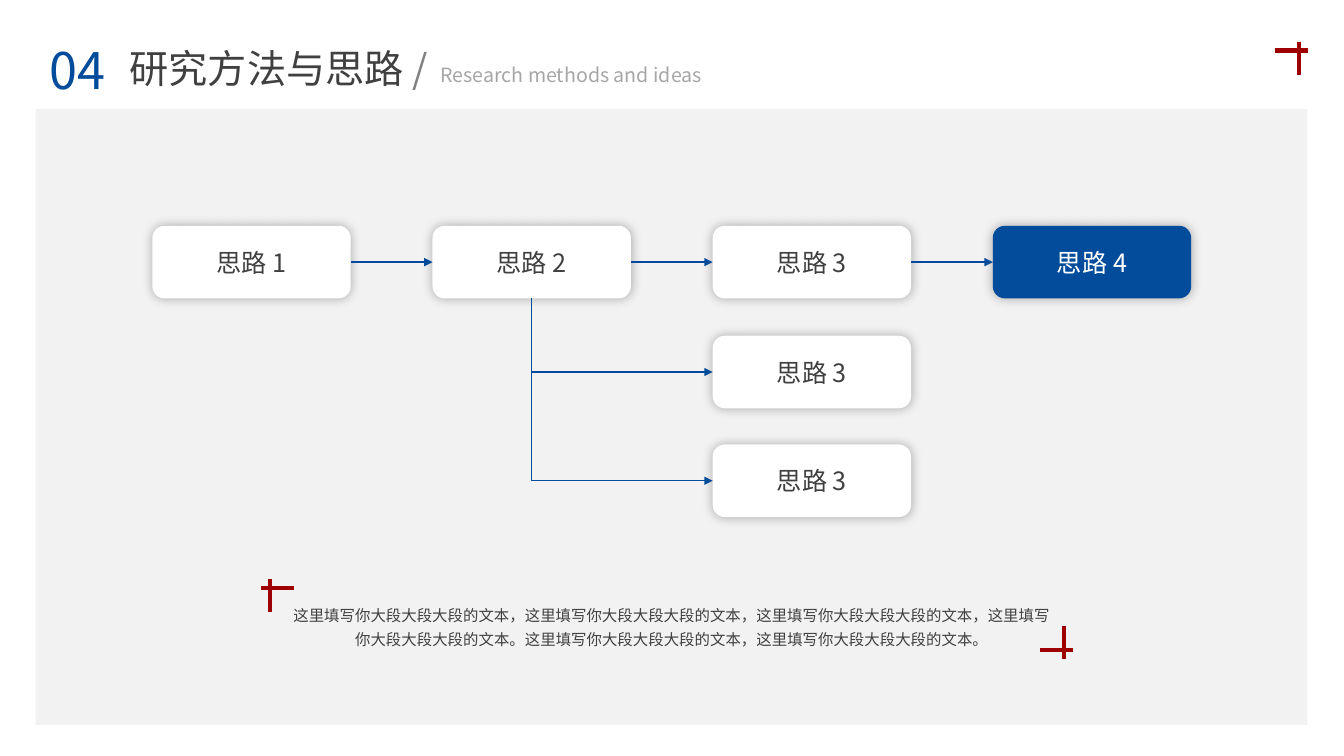
from dataclasses import dataclass

from lxml.etree import SubElement
from pptx import Presentation
from pptx.dml.color import RGBColor
from pptx.enum.shapes import MSO_CONNECTOR as Connector, MSO_SHAPE as Shape
from pptx.enum.text import MSO_ANCHOR as Anchor, MSO_AUTO_SIZE as AutoSize, PP_ALIGN as Align
from pptx.oxml.ns import qn
from pptx.util import Cm, Pt


@dataclass(frozen=True)
class Theme:
    font: str = "Noto Sans CJK SC"
    white: str = "FFFFFF"
    panel: str = "F2F2F2"
    blue: str = "034C9C"
    red: str = "9E0000"
    dark: str = "404040"
    slash: str = "808080"
    muted: str = "A6A6A6"
    shadow: str = "000000"
    number_size: int = 36
    title_size: int = 28
    node_size: int = 18
    subtitle_size: int = 14
    body_size: int = 11
    flow_width: int = 1
    corner_width: int = 3


class SlideBuilder:
    def __init__(self, slide, theme):
        self.slide = slide
        self.theme = theme

    def style_run(self, run, size, color):
        run.font.size = Pt(size)
        run.font.color.rgb = RGBColor.from_string(color)
        run.font.name = self.theme.font
        SubElement(run.font._element, qn("a:ea"), typeface=self.theme.font)

    def text(self, left, top, width, height, parts, size, align=Align.LEFT, wrap=True, spacing=None):
        box = self.slide.shapes.add_textbox(Cm(left), Cm(top), Cm(width), Cm(height))
        frame = box.text_frame
        frame.word_wrap = wrap
        frame.auto_size = AutoSize.SHAPE_TO_FIT_TEXT
        paragraph = frame.paragraphs[0]
        paragraph.alignment = align
        if spacing:
            paragraph.line_spacing = spacing
        for content, color in parts:
            run = paragraph.add_run()
            run.text = content
            self.style_run(run, size, color)

    def block(self, kind, left, top, width, height, color):
        shape = self.slide.shapes.add_shape(kind, Cm(left), Cm(top), Cm(width), Cm(height))
        shape.shadow.inherit = False
        shape.fill.solid()
        shape.fill.fore_color.rgb = RGBColor.from_string(color)
        shape.line.fill.background()
        return shape

    def node(self, left, top, width, height, label, fill, color):
        shape = self.block(Shape.ROUNDED_RECTANGLE, left, top, width, height, fill)
        effects = shape._element.spPr.find(qn("a:effectLst"))
        shadow = SubElement(effects, qn("a:outerShdw"), blurRad=str(Pt(8)), dist="0",
                            dir="0", algn="ctr", rotWithShape="0")
        tint = SubElement(shadow, qn("a:srgbClr"), val=self.theme.shadow)
        SubElement(tint, qn("a:alpha"), val="30000")
        frame = shape.text_frame
        frame.text = label
        frame.vertical_anchor = Anchor.MIDDLE
        paragraph = frame.paragraphs[0]
        paragraph.alignment = Align.CENTER
        self.style_run(paragraph.runs[0], self.theme.node_size, color)
        return shape

    def style_line(self, connector, color, width):
        connector.line.color.rgb = RGBColor.from_string(color)
        connector.line.width = Pt(width)
        SubElement(connector._element.spPr, qn("a:effectLst"))

    def arrow(self, source, target, kind=Connector.STRAIGHT, exit_site=3):
        connector = self.slide.shapes.add_connector(kind, 0, 0, 0, 0)
        connector.begin_connect(source, exit_site)
        connector.end_connect(target, 1)
        self.style_line(connector, self.theme.blue, self.theme.flow_width)
        line = connector.line._get_or_add_ln()
        SubElement(line, qn("a:tailEnd"), type="triangle")
        return connector

    def branch(self, source, target):
        connector = self.arrow(source, target, Connector.ELBOW, 2)
        across, down = connector.width, connector.height
        shift = (across - down) // 2
        connector.left += shift
        connector.top -= shift
        connector.width, connector.height = down, across
        properties = connector._element.spPr
        properties.find(qn("a:prstGeom")).set("prst", "bentConnector2")
        frame = properties.find(qn("a:xfrm"))
        frame.set("rot", "16200000")
        frame.set("flipH", "1")

    def corner(self, x, y, across, down):
        short, long = 0.22, 0.61
        group = self.slide.shapes.add_group_shape()
        strokes = (
            (x, y - down * short, x, y + down * long),
            (x - across * short, y, x + across * long, y),
        )
        for ends in strokes:
            connector = group.shapes.add_connector(Connector.STRAIGHT, *map(Cm, ends))
            self.style_line(connector, self.theme.red, self.theme.corner_width)


def main():
    presentation = Presentation()
    presentation.slide_width = Cm(33.87)
    presentation.slide_height = Cm(19.05)
    theme = Theme()
    builder = SlideBuilder(presentation.slides.add_slide(presentation.slide_layouts[6]), theme)

    builder.block(Shape.RECTANGLE, 0.9, 2.75, 32.05, 15.52, theme.panel)
    builder.text(10.85, 1.47, 7.16, 0.86, [("Research methods and ideas", theme.muted)],
                 theme.subtitle_size, wrap=False)
    builder.text(3.02, 0.99, 9.02, 1.45, [("研究方法与思路 ", theme.dark), ("/", theme.slash)],
                 theme.title_size)
    builder.text(0.9, 0.86, 2.13, 1.8, [("04", theme.blue)], theme.number_size, Align.CENTER)
    builder.corner(32.74, 1.27, -1, 1)

    left, pitch, width, height = 3.84, 7.12 - 0.06, 5.0, 1.83
    row_tops = (5.69, 8.46, 11.2)
    steps = []
    for index in range(4):
        last = index == 3
        steps.append(builder.node(left + index * pitch, row_tops[0], width, height, f"思路 {index + 1}",
                                  theme.blue if last else theme.white,
                                  theme.white if last else theme.dark))
    for source, target in zip(steps, steps[1:]):
        builder.arrow(source, target)
    for top in row_tops[1:]:
        option = builder.node(left + 2 * pitch, top, width, height, "思路 3", theme.white, theme.dark)
        builder.branch(steps[1], option)

    summary = (
        "这里填写你大段大段大段的文本，这里填写你大段大段大段的文本，这里填写你大段大段大段的文本，"
        "这里填写你大段大段大段的文本。这里填写你大段大段大段的文本，这里填写你大段大段大段的文本。"
    )
    builder.text(6.99, 15.01, 19.89, 1.47, [(summary, theme.dark)], theme.body_size,
                 Align.CENTER, spacing=1.3)
    builder.corner(26.82, 16.38, -1, -1)
    builder.corner(6.81, 14.81, 1, 1)

    presentation.save("out.pptx")


if __name__ == "__main__":
    main()
